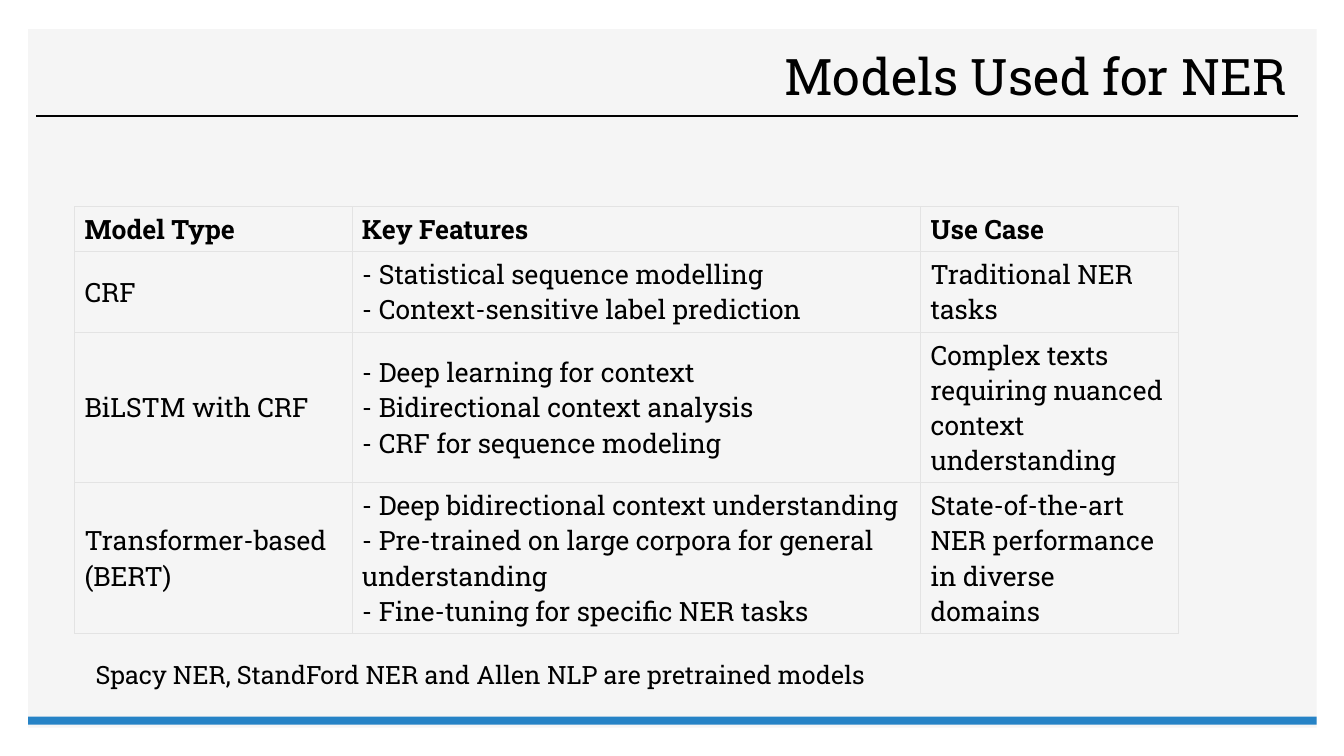
from dataclasses import dataclass

import pptx
import pptx.dml.color
import pptx.enum.shapes
import pptx.enum.text
import pptx.oxml
import pptx.oxml.ns
import pptx.util

EMU_PER_PX = 9144  # 100 px to the inch
FONT = "Roboto Slab"
INK, PANEL, ACCENT, GRID = "000000", "F5F5F5", "2683C6", "E3E3E3"
ANCHOR = pptx.enum.text.MSO_ANCHOR


@dataclass(frozen=True)
class Box:
    left: int
    top: int
    width: int
    height: int

    def emu(self) -> list[int]:
        return [px(v) for v in (self.left, self.top, self.width, self.height)]


@dataclass(frozen=True)
class Band:
    box: Box
    color: str


@dataclass(frozen=True)
class ModelRow:
    height: int
    model: str
    features: tuple[str, ...]
    use_case: str


BANDS = [
    Band(Box(28, 29, 1278, 693), PANEL),
    Band(Box(28, 711, 1278, 8), ACCENT),
]
COLUMN_WIDTHS = (275, 564, 256)
ROWS = [
    ModelRow(29, "Model Type", ("Key Features",), "Use Case"),
    ModelRow(
        49, "CRF",
        ("- Statistical sequence modelling", "- Context-sensitive label prediction"),
        "Traditional NER tasks",
    ),
    ModelRow(
        89, "BiLSTM with CRF",
        ("- Deep learning for context", "- Bidirectional context analysis",
         "- CRF for sequence modeling"),
        "Complex texts requiring nuanced context understanding",
    ),
    ModelRow(
        109, "Transformer-based (BERT)",
        ("- Deep bidirectional context understanding",
         "- Pre-trained on large corpora for general understanding",
         "- Fine-tuning for specific NER tasks"),
        "State-of-the-art NER performance in diverse domains",
    ),
]


def px(length: int) -> int:
    return pptx.util.Emu(length * EMU_PER_PX)


def rgb(color: str) -> pptx.dml.color.RGBColor:
    return pptx.dml.color.RGBColor.from_string(color)


def write(frame, lines: tuple[str, ...], size: int, bold: bool = False) -> None:
    frame.text = "\n".join(lines)
    font_format = {"name": FONT, "size": pptx.util.Pt(size), "bold": bold}
    for paragraph in frame.paragraphs:
        for run in paragraph.runs:
            for attribute, value in font_format.items():
                setattr(run.font, attribute, value)
            run.font.color.rgb = rgb(INK)


def place(shape, box: Box) -> None:
    for attribute, value in zip(("left", "top", "width", "height"), box.emu()):
        setattr(shape, attribute, value)


def add_band(slide, band: Band) -> None:
    shape = slide.shapes.add_shape(
        pptx.enum.shapes.MSO_SHAPE.RECTANGLE, *band.box.emu())
    shape.shadow.inherit = False
    shape.fill.solid()
    shape.fill.fore_color.rgb = rgb(band.color)
    shape.line.fill.background()


def add_rule(slide, left: int, right: int, top: int) -> None:
    rule = slide.shapes.add_connector(
        pptx.enum.shapes.MSO_CONNECTOR.STRAIGHT,
        px(left), px(top), px(right), px(top))
    rule.line.color.rgb = rgb(INK)
    rule.line.width = pptx.util.Pt(1)
    properties = rule.element.find(pptx.oxml.ns.qn("p:spPr"))
    properties.append(pptx.oxml.parse_xml(
        f'<a:effectLst {pptx.oxml.ns.nsdecls("a")}/>'))


def set_borders(cell, widths: dict[str, float]) -> None:
    """Put the borders ahead of the cell fill, as the schema asks."""
    properties = cell._tc.get_or_add_tcPr()
    for position, (side, width) in enumerate(widths.items()):
        properties.insert(position, pptx.oxml.parse_xml(
            f'<a:ln{side} {pptx.oxml.ns.nsdecls("a")} w="{pptx.util.Pt(width)}">'
            f'<a:solidFill><a:srgbClr val="{GRID}"/></a:solidFill></a:ln{side}>'))


def add_models_table(slide, box: Box) -> None:
    frame = slide.shapes.add_table(len(ROWS), len(COLUMN_WIDTHS), *box.emu())
    table = frame.table
    table.first_row = table.horz_banding = False
    for column, width in zip(table.columns, COLUMN_WIDTHS):
        column.width = px(width)
    last = len(ROWS) - 1
    for index, entry in enumerate(ROWS):
        table.rows[index].height = px(entry.height)
        is_header = index == 0
        borders = {"L": 0.6, "R": 0.6, "T": 0.6 if is_header else 1,
                   "B": 0.6 if index == last else 1}
        contents = ((entry.model,), entry.features, (entry.use_case,))
        for cell, lines in zip(table.rows[index].cells, contents):
            cell.fill.background()
            cell.vertical_anchor = ANCHOR.BOTTOM if is_header else ANCHOR.MIDDLE
            write(cell.text_frame, lines, 19, bold=is_header)
            set_borders(cell, borders)
    frame.height = px(box.height)


def add_title(slide, text: str, box: Box) -> None:
    title = slide.shapes.title
    place(title, box)
    write(title.text_frame, (text,), 36)
    title.text_frame.vertical_anchor = ANCHOR.MIDDLE
    paragraph = title.text_frame.paragraphs[0]
    paragraph.alignment = pptx.enum.text.PP_ALIGN.RIGHT
    paragraph.line_spacing = 0.9
    title.element.getparent().append(title.element)  # in front of the panel


def add_note(slide, text: str, box: Box) -> None:
    note = slide.shapes.add_textbox(*box.emu())
    note.text_frame.word_wrap = True
    note.text_frame.auto_size = pptx.enum.text.MSO_AUTO_SIZE.SHAPE_TO_FIT_TEXT
    write(note.text_frame, (text,), 18)


def main() -> None:
    deck = pptx.Presentation()
    deck.slide_width, deck.slide_height = px(1333), px(750)
    slide = deck.slides.add_slide(deck.slide_layouts.get_by_name("Title Only"))
    for band in BANDS:
        add_band(slide, band)
    add_rule(slide, left=36, right=1287, top=115)
    add_title(slide, "Models Used for NER", Box(370, 42, 917, 73))
    add_models_table(slide, Box(74, 205, 1095, 390))
    add_note(slide, "Spacy NER, StandFord NER and Allen NLP are pretrained models",
             Box(85, 649, 874, 40))
    deck.save("out.pptx")


if __name__ == "__main__":
    main()
